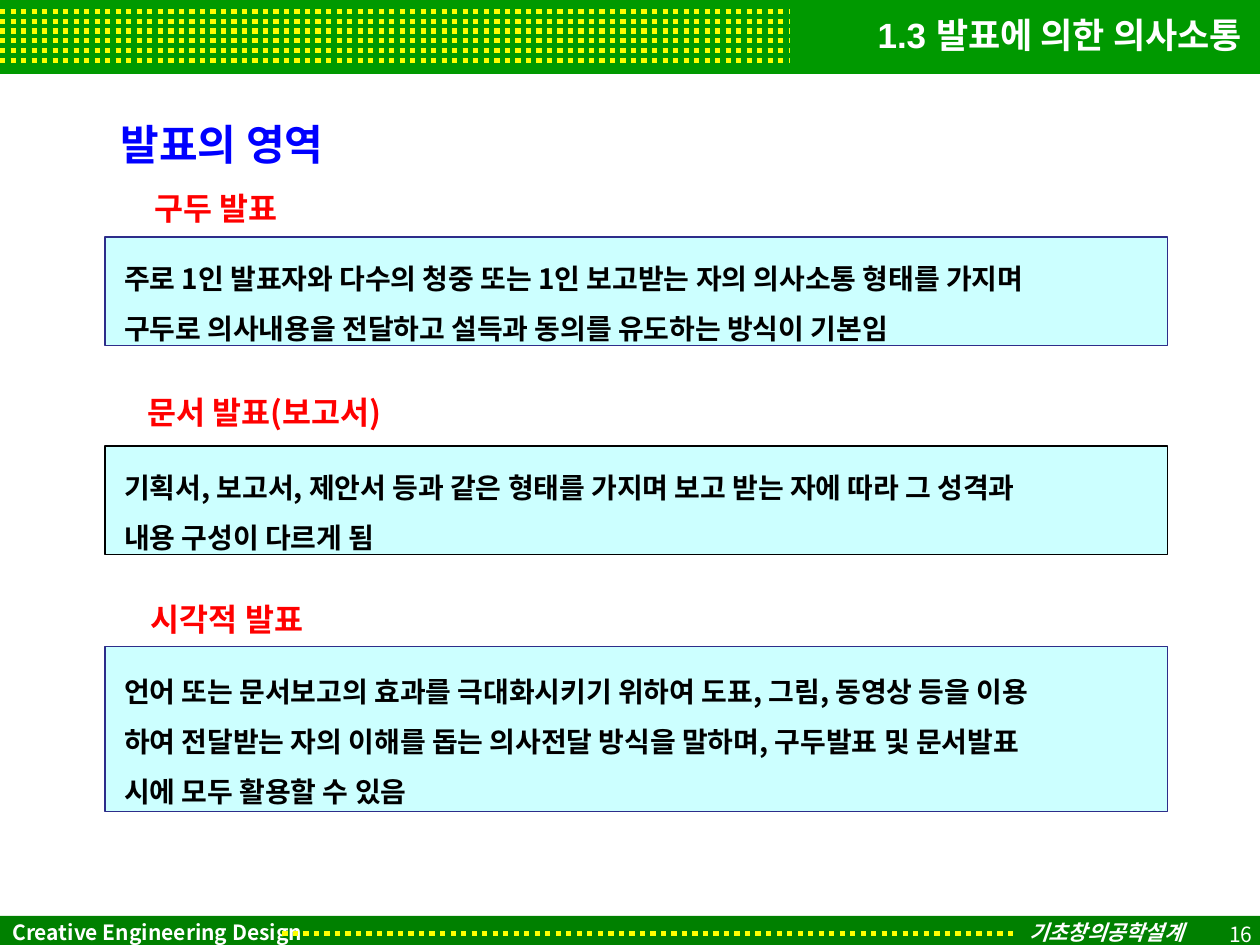
"""Build the slide on the three areas of presentation."""
from lxml import etree
from pptx import Presentation
from pptx.dml.color import RGBColor
from pptx.enum.dml import MSO_LINE
from pptx.enum.shapes import MSO_CONNECTOR, MSO_SHAPE
from pptx.enum.text import MSO_ANCHOR, MSO_AUTO_SIZE, PP_ALIGN
from pptx.oxml.ns import qn
from pptx.util import Pt

RECT, STRAIGHT = MSO_SHAPE.RECTANGLE, MSO_CONNECTOR.STRAIGHT
DOTTED, MIDDLE = MSO_LINE.ROUND_DOT, MSO_ANCHOR.MIDDLE
NO_RESIZE = MSO_AUTO_SIZE.NONE
LEFT, RIGHT = PP_ALIGN.LEFT, PP_ALIGN.RIGHT
WHITE, BLACK = RGBColor(255, 255, 255), RGBColor(0, 0, 0)
BLUE, RED = RGBColor(0, 0, 255), RGBColor(255, 0, 0)
YELLOW, NAVY = RGBColor(255, 255, 0), RGBColor(0x2D, 0x2D, 0x8A)
HEADER_GREEN, FOOTER_GREEN = RGBColor(0, 0x99, 0), RGBColor(0, 0x80, 0)
PALE_CYAN = RGBColor(0xCC, 0xFF, 0xFF)
KOREAN, LATIN = "Noto Sans CJK KR", "Arial"

TITLE = "1.3 발표에 의한 의사소통"
HEADING = "발표의 영역"
COURSE_ENGLISH, COURSE_KOREAN = "Creative Engineering Design", "기초창의공학설계"
PAGE = "16"
AREAS = [
    {"name": "구두 발표", "name_at": (81.4, 104.4), "top": 135.4, "border": NAVY,
     "lines": ["주로 1인 발표자와 다수의 청중 또는 1인 보고받는 자의 의사소통 형태를 가지며",
               "구두로 의사내용을 전달하고 설득과 동의를 유도하는 방식이 기본임"]},
    {"name": "문서 발표(보고서)", "name_at": (77, 221), "top": 254.9, "border": BLACK,
     "lines": ["기획서, 보고서, 제안서 등과 같은 형태를 가지며 보고 받는 자에 따라 그 성격과",
               "내용 구성이 다르게 됨"]},
    {"name": "시각적 발표", "name_at": (79.2, 339.1), "top": 369.4, "border": NAVY,
     "lines": ["언어 또는 문서보고의 효과를 극대화시키기 위하여 도표, 그림, 동영상 등을 이용",
               "하여 전달받는 자의 이해를 돕는 의사전달 방식을 말하며, 구두발표 및 문서발표",
               "시에 모두 활용할 수 있음"]},
]
PANEL_LEFT, PANEL_WIDTH = 60, 607
LINE_PITCH = 28.8
DOT_ROWS, DOT_TOP, DOT_PITCH, DOT_END = 6, 6.5, 5.6, 451


def write(shape, lines, size, color, font=KOREAN, bold=True, italic=False,
          align=LEFT, pitch=None, wrap=True, inset=7.2, top=3.6, bottom=3.6):
    frame = shape.text_frame
    frame.word_wrap, frame.auto_size, frame.vertical_anchor = wrap, NO_RESIZE, MIDDLE
    frame.margin_left, frame.margin_right = Pt(inset), Pt(7.2)
    frame.margin_top, frame.margin_bottom = Pt(top), Pt(bottom)
    for index, line in enumerate(lines):
        paragraph = frame.add_paragraph() if index else frame.paragraphs[0]
        paragraph.alignment = align
        if pitch:
            paragraph.line_spacing = Pt(pitch)
        run = paragraph.add_run()
        run.text = line
        run.font.size, run.font.bold, run.font.italic = Pt(size), bold, italic
        run.font.color.rgb = color
        run.font.name = font
        latin = run.font._element.find(qn("a:latin"))
        east_asian = etree.Element(qn("a:ea"), typeface=KOREAN)
        latin.addnext(east_asian)


def add_panel(slide, box, fill, border=None):
    panel = slide.shapes.add_shape(RECT, *map(Pt, box))
    panel.shadow.inherit = False
    panel.fill.solid()
    panel.fill.fore_color.rgb = fill
    if border is None:
        panel.line.fill.background()
    else:
        panel.line.color.rgb = border
        panel.line.width = Pt(0.75)
    return panel


def add_dots(slide, start, end, y):
    dots = slide.shapes.add_connector(STRAIGHT, Pt(start), Pt(y), Pt(end), Pt(y))
    dots.line.color.rgb = YELLOW
    dots.line.width = Pt(3)
    dots.line.dash_style = DOTTED
    etree.SubElement(dots._element.spPr, qn("a:effectLst"))


def add_label(slide, box, text, size, color, **style):
    label = slide.shapes.add_textbox(*map(Pt, box))
    write(label, [text], size, color, **style)


def main():
    deck = Presentation()
    deck.slide_width, deck.slide_height = Pt(720), Pt(540)
    slide = deck.slides.add_slide(deck.slide_layouts[5])

    add_panel(slide, (0, 0, 720, 42.2), HEADER_GREEN)
    for row in range(DOT_ROWS):
        add_dots(slide, 0, DOT_END, DOT_TOP + row * DOT_PITCH)

    footer = add_panel(slide, (0, 523.4, 720, 18.7), FOOTER_GREEN)
    write(footer, [COURSE_ENGLISH], 12, WHITE, wrap=False)
    add_dots(slide, 161.3, 581, 533.4)
    add_label(slide, (581, 525, 104, 15), COURSE_KOREAN, 12, WHITE,
              font=LATIN, italic=True, wrap=False)

    add_label(slide, (54, 61.5, 482, 41), HEADING, 24, BLUE, inset=15)
    for area in AREAS:
        add_label(slide, (*area["name_at"], 618, 29), area["name"], 18, RED)
        height = 4.4 + LINE_PITCH * len(area["lines"]) + 3.6 * (len(area["lines"]) > 2)
        panel = add_panel(slide, (PANEL_LEFT, area["top"], PANEL_WIDTH, height),
                          PALE_CYAN, area["border"])
        write(panel, area["lines"], 16, BLACK, pitch=LINE_PITCH, inset=11,
              top=4.4, bottom=0)

    title = slide.shapes.title
    title.left, title.top, title.width, title.height = map(Pt, (36.7, 0, 680.4, 38.9))
    write(title, [TITLE], 20, WHITE, font=LATIN, align=RIGHT)
    title._element.getparent().append(title._element)
    add_label(slide, (560.9, 519, 162, 29), PAGE, 12, WHITE, bold=False, align=RIGHT)
    deck.save("out.pptx")


if __name__ == "__main__":
    main()
